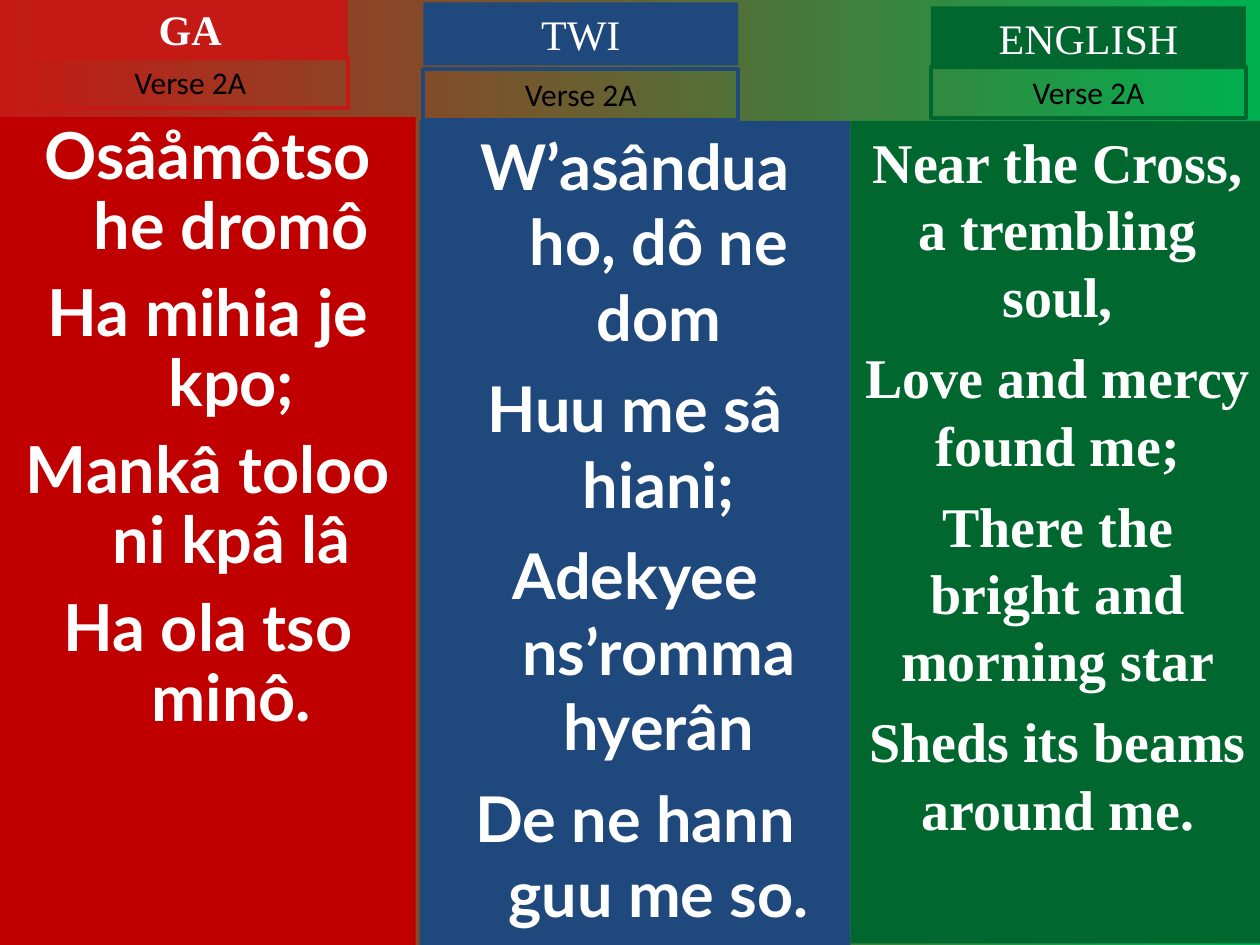
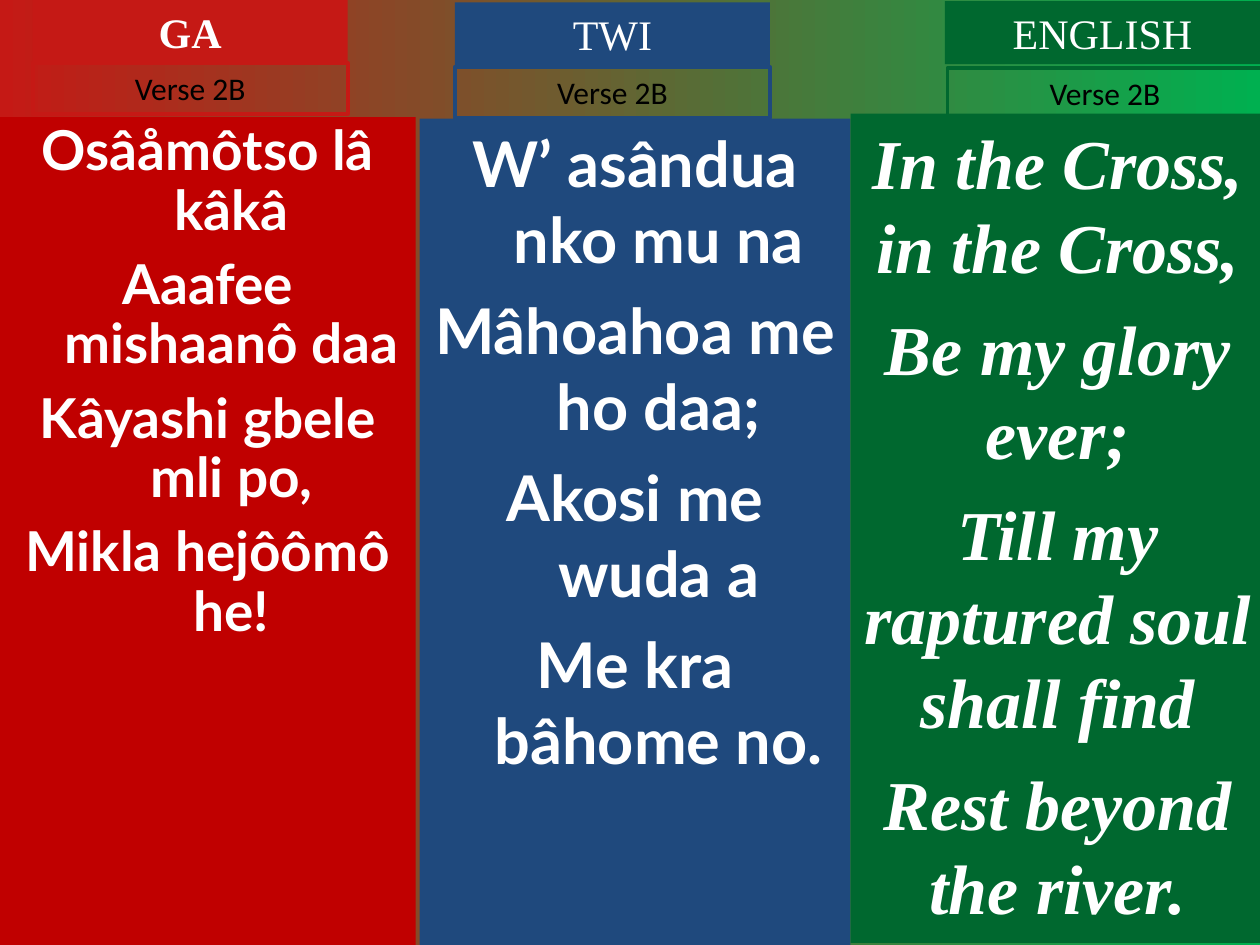
from dataclasses import dataclass

from pptx import Presentation
from pptx.dml.color import RGBColor
from pptx.enum.shapes import MSO_SHAPE as Preset
from pptx.enum.text import MSO_ANCHOR as Anchor, MSO_AUTO_SIZE as AutoSize, PP_ALIGN as Align
from pptx.util import Pt

WHITE, BLACK, RED, GREEN = "FFFFFF", "000000", "C51915", "00B050"
HEAD_WIDTH, HEAD_HEIGHT, VERSE_HEIGHT = 180, 36, 29
HANGING = 27


@dataclass
class Language:
    name: str
    left: float
    width: float
    head_color: str
    column_color: str
    font: str
    hanging: bool = False
    line_spacing: float = 1.0
    bold_name: bool = False


@dataclass
class Panel:
    lyrics: list
    size: float
    space_before: float
    column_top: float
    column_height: float
    head_at: tuple
    verse_at: tuple
    italic: bool = False


LANGUAGES = [
    Language("GA", 0, 237.6, RED, "C00000", "Lato", True, 0.9, True),
    Language("TWI", 239.76, 246.24, "1F497D", "1F497D", "Lato", True),
    Language("ENGLISH", 486, 236.88, "00682F", "00682F", "Times New Roman"),
]

VERSES = {
    "Verse 2A": [
        Panel(["Osâåmôtso he dromô", "Ha mihia je kpo;", "Mankâ toloo ni kpâ lâ",
               "Ha ola tso minô."],
              37, 10, 67, 473, (18.72, -1.44), (18.72, 32.7)),
        Panel(["W’asândua ho, dô ne dom", "Huu me sâ hiani;", "Adekyee ns’romma hyerân",
               "De ne hann guu me so."],
              36, 9, 69.12, 470.88, (241.92, 1.44), (241.92, 39.4)),
        Panel(["Near the Cross, a trembling soul,", "Love and mercy found me;",
               "There the bright and morning star", "Sheds its beams around me."],
              32, 8, 69.12, 470, (532, 3.6), (532, 38.2)),
    ],
    "Verse 2B": [
        Panel(["Osâåmôtso lâ kâkâ", "Aaafee mishaanô daa", "Kâyashi gbele mli po,",
               "Mikla hejôômô he!"],
              31.4, 8.5, 67, 473, (18.72, 0), (18.72, 36)),
        Panel(["W’ asândua nko mu na", "Mâhoahoa me ho daa;", "Akosi me wuda a",
               "Me kra bâhome no."],
              36, 9, 67.8, 472.2, (260, 1.44), (260, 38.2)),
        Panel(["In the Cross, in the Cross,", "Be my glory ever;",
               "Till my raptured soul shall find", "Rest beyond the river."],
              40, 10, 65, 473.76, (540, 0.72), (541.44, 38.9), True),
    ],
}


def color(hex_value):
    return RGBColor.from_string(hex_value)


def apply(target, values):
    for name, value in values.items():
        setattr(target, name, value)


class HymnDeck:
    def __init__(self):
        self.presentation = Presentation()
        apply(self.presentation, {"slide_width": Pt(720), "slide_height": Pt(540)})
        self.slide = None

    def add_slide(self):
        self.slide = self.presentation.slides.add_slide(self.presentation.slide_layouts[6])
        fill = self.slide.background.fill
        fill.gradient()
        fill.gradient_angle = 0
        for stop, shade in zip(fill.gradient_stops, (RED, GREEN)):
            stop.color.rgb = color(shade)

    def box(self, left, top, width, height, fill=None, line=None, grow=False):
        shape = self.slide.shapes.add_shape(
            Preset.RECTANGLE, Pt(left), Pt(top), Pt(width), Pt(height))
        shape.shadow.inherit = False
        if fill:
            shape.fill.solid()
            shape.fill.fore_color.rgb = color(fill)
        else:
            shape.fill.background()
        if line:
            shape.line.color.rgb = color(line)
            shape.line.width = Pt(2.25)
        else:
            shape.line.fill.background()
        apply(shape.text_frame, {
            "word_wrap": True,
            "vertical_anchor": Anchor.TOP,
            "auto_size": AutoSize.SHAPE_TO_FIT_TEXT if grow else AutoSize.NONE,
        })
        return shape

    def add_lines(self, shape, lines, font, text_color, space_before=0, line_spacing=1.0,
                  hanging=False):
        frame = shape.text_frame
        for index, line in enumerate(lines):
            paragraph = frame.add_paragraph() if index else frame.paragraphs[0]
            apply(paragraph, {
                "alignment": Align.CENTER,
                "line_spacing": line_spacing,
                "space_before": Pt(space_before if index else 0),
            })
            if hanging:
                properties = paragraph._p.get_or_add_pPr()
                properties.set("marL", str(Pt(HANGING)))
                properties.set("indent", str(-Pt(HANGING)))
            run = paragraph.add_run()
            run.text = line
            apply(run.font, font)
            run.font.color.rgb = color(text_color)

    def column(self, language, panel):
        shape = self.box(language.left, panel.column_top, language.width,
                         panel.column_height, fill=language.column_color)
        font = {"name": language.font, "size": Pt(panel.size), "bold": True,
                "italic": panel.italic}
        self.add_lines(shape, panel.lyrics, font, WHITE, panel.space_before,
                       language.line_spacing, language.hanging)

    def heading(self, language, panel):
        shape = self.box(*panel.head_at, HEAD_WIDTH, HEAD_HEIGHT,
                         fill=language.head_color, grow=True)
        font = {"name": "Times New Roman", "size": Pt(24), "bold": language.bold_name}
        self.add_lines(shape, [language.name], font, WHITE)

    def verse_label(self, language, panel, verse):
        shape = self.box(*panel.verse_at, HEAD_WIDTH, VERSE_HEIGHT,
                         line=language.head_color, grow=True)
        self.add_lines(shape, [verse], {"name": "Calibri", "size": Pt(18)}, BLACK)


def main():
    deck = HymnDeck()
    for verse, panels in VERSES.items():
        deck.add_slide()
        for language, panel in zip(LANGUAGES, panels):
            deck.column(language, panel)
            deck.heading(language, panel)
            deck.verse_label(language, panel, verse)
    deck.presentation.save("out.pptx")


if __name__ == "__main__":
    main()
